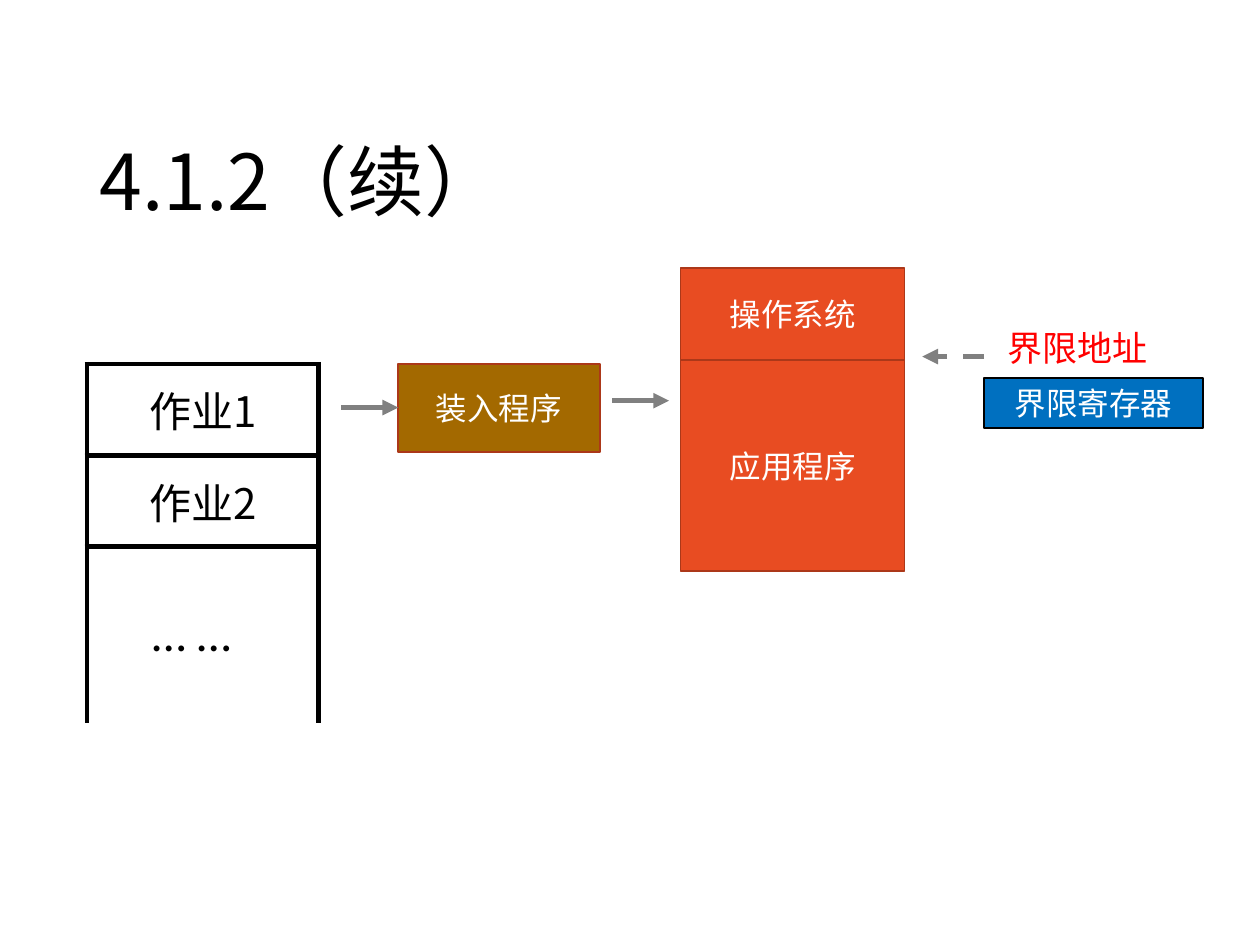
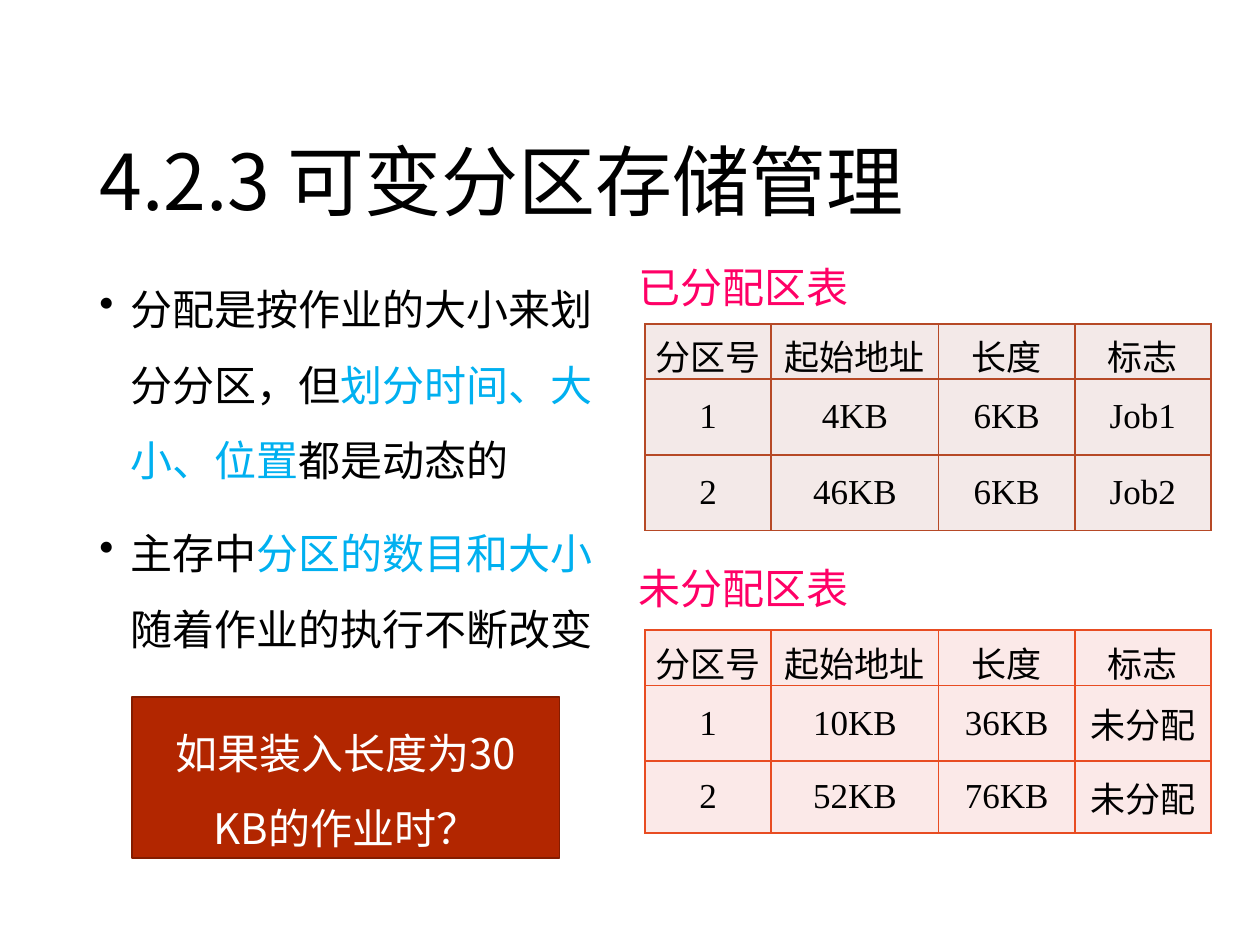
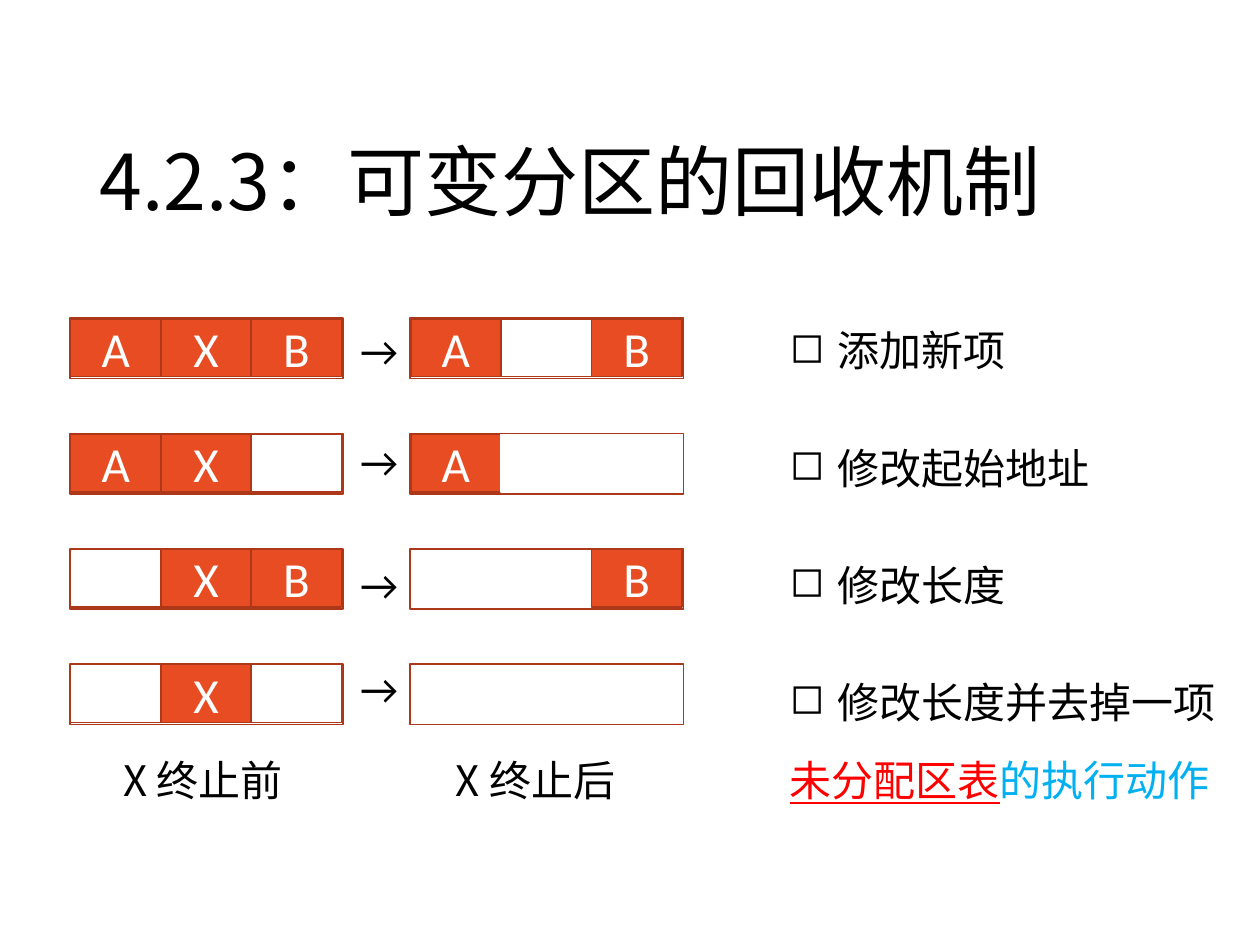
from lxml import etree
from pptx import Presentation
from pptx import util as u
from pptx.dml.color import RGBColor
from pptx.enum import dml, shapes, text
from pptx.oxml import ns

COLORS = {
    "ink": "000000", "white": "FFFFFF", "orange": "E84C22", "edge": "AC3819",
    "brown": "A36900", "blue": "0070C0", "gray": "808080", "red": "FF0000",
    "sky": "00B0F0", "pink": "FF0066", "brick": "B22600", "brick_edge": "841C00",
    "rust": "B64926", "rust_tint": "F3E9E8", "orange_tint": "FBE9E8",
}
RGB = {name: RGBColor.from_string(value) for name, value in COLORS.items()}
CJK, LATIN, SERIF = "Noto Sans CJK SC", "Calibri", "Times New Roman"
CENTER, MIDDLE = text.PP_ALIGN.CENTER, text.MSO_ANCHOR.MIDDLE

deck = Presentation()
deck.slide_width, deck.slide_height = u.Inches(10), u.Inches(7.5)
GRID = deck.slide_width / 100


def write(frame, paragraphs, size, color="ink", font=CJK, align=None, spacing=None, bullet=None, indent=0):
    for index, spans in enumerate(paragraphs):
        para = frame.paragraphs[0] if index == 0 else frame.add_paragraph()
        if bullet:
            props = para._p.get_or_add_pPr()
            props.set("marL", str(int(indent * GRID)))
            props.set("indent", str(int(-indent * GRID)))
            etree.SubElement(props, ns.qn("a:buChar"), char=bullet)
        if align:
            para.alignment = align
        if spacing:
            para.line_spacing = spacing
        if index:
            para.space_before = u.Pt(10)
        para.font.size, para.font.name = u.Pt(size), font
        para.font.color.rgb = RGB[color]
        defaults = para._p.pPr.find(ns.qn("a:defRPr"))
        etree.SubElement(defaults, ns.qn("a:ea"), typeface=CJK)
        for words, tint in [(spans, color)] if isinstance(spans, str) else spans:
            span = para.add_run()
            span.text = words
            if tint != color:
                span.font.color.rgb = RGB[tint]


def add_box(page, place, fill=None, line=None, anchor=MIDDLE, wrap=True):
    place = [int(value * GRID) for value in place]
    if line:
        box = page.shapes.add_shape(shapes.MSO_SHAPE.RECTANGLE, *place)
        box.shadow.inherit = False
        box.line.color.rgb, box.line.width = RGB[line], u.Pt(1)
        if fill:
            box.fill.solid()
            box.fill.fore_color.rgb = RGB[fill]
        else:
            box.fill.background()
    else:
        box = page.shapes.add_textbox(*place)
    box.text_frame.word_wrap = wrap
    box.text_frame.vertical_anchor = anchor
    return box.text_frame


pages = []
for title in ["4.1.2（续）", "4.2.3 可变分区存储管理", "4.2.3：可变分区的回收机制"]:
    page = deck.slides.add_slide(deck.slide_layouts[6])
    frame = add_box(page, (6.9, 4, 86.2, 14.5), anchor=text.MSO_ANCHOR.BOTTOM)
    write(frame, [title], 44, spacing=0.9)
    pages.append(page)
loading, partitions, recycling = pages

for label, place, fill, line in [
    ("装入程序", (31.6, 28.9, 16, 7), "brown", "edge"),
    ("操作系统", (54, 21.3, 17.8, 7.3), "orange", "edge"),
    ("应用程序", (54, 28.6, 17.8, 16.7), "orange", "edge"),
    ("界限寄存器", (78.1, 30, 17.4, 4), "blue", "ink"),
]:
    write(add_box(loading, place, fill, line), [label], 18, "white", LATIN, CENTER)
frame = add_box(loading, (79, 25.4, 13.2, 4.4), anchor=text.MSO_ANCHOR.TOP, wrap=False)
write(frame, ["界限地址"], 20, "red", LATIN)

for start, end, height, dashed in [(27.1, 31.6, 32.35, False), (48.6, 53.1, 31.8, False), (78.1, 73.2, 28.3, True)]:
    ends = [int(value * GRID) for value in (start, height, end, height)]
    arrow = loading.shapes.add_connector(shapes.MSO_CONNECTOR.STRAIGHT, *ends)
    arrow.line.color.rgb, arrow.line.width = RGB["gray"], u.Pt(3)
    if dashed:
        arrow.line.dash_style = dml.MSO_LINE.DASH
    etree.SubElement(arrow.line._get_or_add_ln(), ns.qn("a:tailEnd"), type="triangle")
    etree.SubElement(arrow._element.spPr, ns.qn("a:effectLst"))

frame = add_box(partitions, (6.9, 20, 41.2, 38.5), anchor=text.MSO_ANCHOR.TOP)
write(frame, [
    [("分配是按作业的大小来划分分区，但", "ink"), ("划分时间、大小、位置", "sky"), ("都是动态的", "ink")],
    [("主存中", "ink"), ("分区的数目和大小", "sky"), ("随着作业的执行不断改变", "ink")],
], 24, spacing=1.5, bullet="•", indent=2.5)
for label, top in [("已分配区表", 19.4), ("未分配区表", 43.3)]:
    write(add_box(partitions, (49.7, top, 44.2, 6.7)), [label], 24, "pink")
frame = add_box(partitions, (10.5, 55.3, 33.9, 12.8), "brick", "brick_edge")
write(frame, ["如果装入长度为30 KB的作业时？"], 24, "white", spacing=1.5)

HEADER = ["分区号", "起始地址", "长度", "标志"]
JOB, PARTITION = [18.4], [10, 13.3, 10.8, 10.8]
JOB_PAD, PARTITION_PAD = (1, 0.5, 1, 0.5), (0, 0.5, 0, 0.5)
for page, left, top, columns, rows, lines, border, weight, sides, fill, size, pad in [
    (loading, 6.9, 28.9, JOB, [7.2], [["作业1"]], "ink", 3, "LRTB", None, 24, JOB_PAD),
    (loading, 6.9, 36.2, JOB, [7.2], [["作业2"]], "ink", 3, "LRTB", None, 24, JOB_PAD),
    (loading, 6.9, 43.4, JOB, [13.9], [["… …"]], "ink", 3, "LRT", None, 28, (1, 0.5, 2.8, 0.5)),
    (partitions, 51.2, 25.7, PARTITION, [4.4, 6, 6],
     [HEADER, ["1", "4KB", "6KB", "Job1"], ["2", "46KB", "6KB", "Job2"]],
     "rust", 1, "LRTB", "rust_tint", 20, PARTITION_PAD),
    (partitions, 51.2, 50, PARTITION, [4.4, 6, 5.7],
     [HEADER, ["1", "10KB", "36KB", "未分配"], ["2", "52KB", "76KB", "未分配"]],
     "orange", 1, "LRTB", "orange_tint", 20, PARTITION_PAD),
]:
    place = [int(value * GRID) for value in (left, top, sum(columns), sum(rows))]
    table = page.shapes.add_table(len(rows), len(columns), *place).table
    table.first_row = table.horz_banding = False
    for column, width in zip(table.columns, columns):
        column.width = int(width * GRID)
    for row, height, words in zip(table.rows, rows, lines):
        row.height = int(height * GRID)
        for cell, word in zip(row.cells, words):
            cell.margin_left, cell.margin_top, cell.margin_right, cell.margin_bottom = [
                int(value * GRID) for value in pad]
            cell.vertical_anchor = MIDDLE
            for side in sides:
                edge = etree.SubElement(cell._tc.get_or_add_tcPr(), ns.qn("a:ln" + side), w=str(u.Pt(weight)))
                paint = etree.SubElement(edge, ns.qn("a:solidFill"))
                etree.SubElement(paint, ns.qn("a:srgbClr"), val=COLORS[border])
            if fill:
                cell.fill.solid()
                cell.fill.fore_color.rgb = RGB[fill]
            else:
                cell.fill.background()
            if word == "… …":
                font = LATIN
            elif fill and words is not HEADER:
                font = SERIF
            else:
                font = CJK
            write(cell.text_frame, [word], size, font=font, align=CENTER)

BLANKS = {"_": "edge", "|": "white"}
BLOCK, STEP = 7.17, 9.15
for index, (before, after, arrow_top, action) in enumerate([
    ("AXB", "A_B", 25.3, "添加新项"),
    ("AX_", "A| ", 34.1, "修改起始地址"),
    ("_XB", "  B", 43.8, "修改长度"),
    ("_X_", "", 52.1, "修改长度并去掉一项"),
]):
    top = 25.3 + index * STEP
    for left, strip in [(5.6, before), (32.6, after)]:
        for slot, mark in enumerate(strip):
            place = (left + slot * BLOCK, top, BLOCK, 4.6)
            if mark in BLANKS:
                add_box(recycling, place, "white", BLANKS[mark])
            elif mark != " ":
                frame = add_box(recycling, place, "orange", "edge")
                write(frame, [mark], 28, "white", LATIN, CENTER)
        add_box(recycling, (left - 0.05, top - 0.05, 21.7, 4.8), line="edge")
    frame = add_box(recycling, (27.6, arrow_top, 5.1, 5), anchor=text.MSO_ANCHOR.TOP)
    write(frame, ["→"], 24, font=LATIN)
    width = 5.9 + 3.35 * len(action)
    frame = add_box(recycling, (61.7, 25.3 + index * 9.3, width, 5), anchor=text.MSO_ANCHOR.TOP, wrap=False)
    write(frame, [action], 24, bullet="◻", indent=3.8)

for left, width, caption in [
    (8.8, 15.5, "X 终止前"),
    (35.2, 15.5, "X 终止后"),
    (61.7, 35.7, [("未分配区表", "red"), ("的执行动作", "sky")]),
]:
    frame = add_box(recycling, (left, 59.4, width, 5), anchor=text.MSO_ANCHOR.TOP, wrap=False)
    write(frame, [caption], 24)
frame.paragraphs[0].runs[0].font.underline = True

deck.save("out.pptx")
